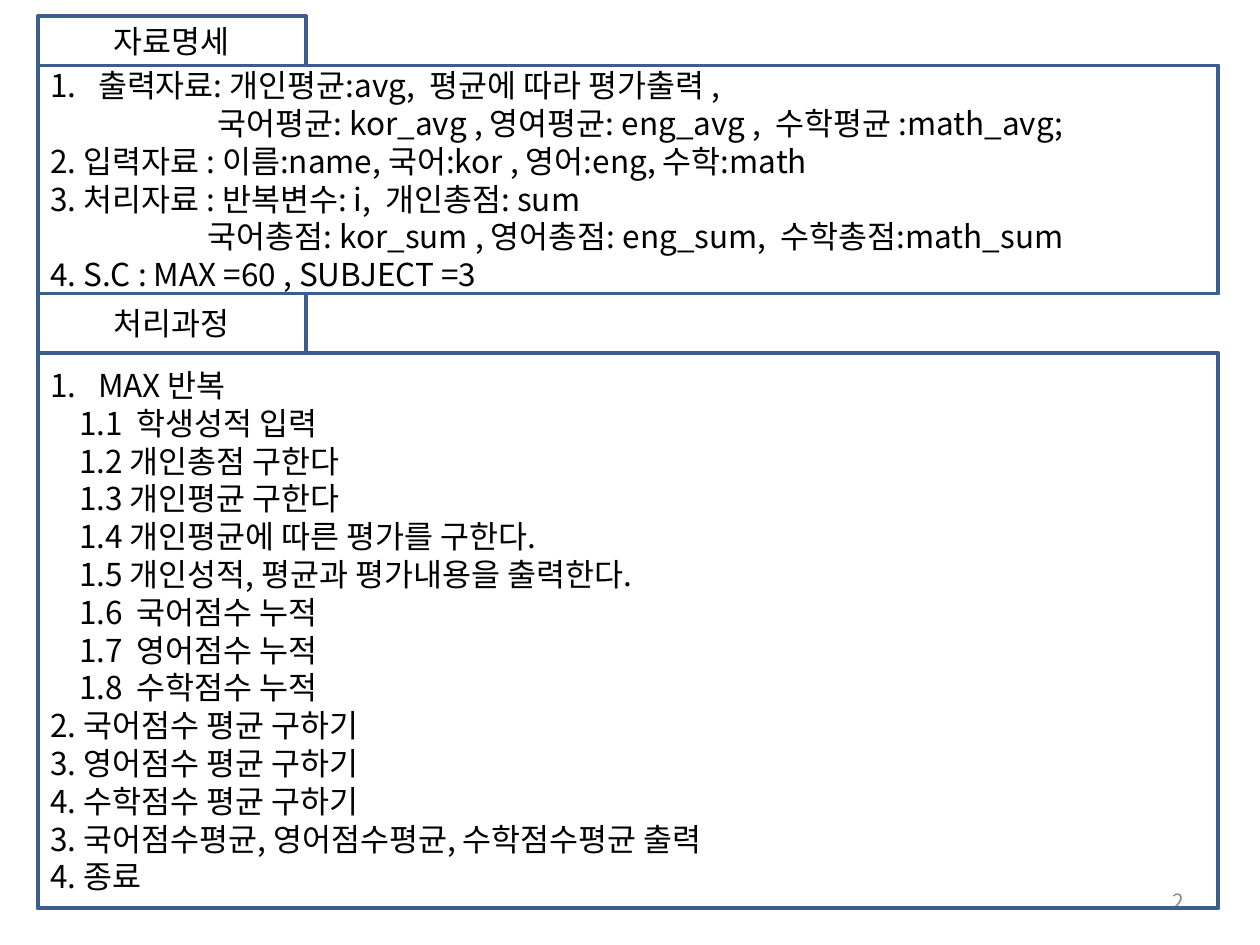
import pptx
import pptx.util
import pptx.dml.color
import pptx.enum.shapes
import pptx.enum.text
import pptx.oxml.ns
import lxml.etree

Inches, Pt = pptx.util.Inches, pptx.util.Pt
ALIGN = pptx.enum.text.PP_ALIGN
FONT = "Noto Sans CJK KR"
LEFT, TAB_WIDTH, BODY_WIDTH = 0.3, 2.13, 9.37
NUMBER_INDENT, STEP_INDENT = 0.38, 0.23


def rgb(color):
    return pptx.dml.color.RGBColor.from_string(color)


def write(shape, lines, size, color, align):
    """Fill a shape with (text, indent) lines."""
    frame = shape.text_frame
    frame.text = "\n".join(text for text, indent in lines)
    frame.word_wrap = True
    frame.vertical_anchor = pptx.enum.text.MSO_ANCHOR.MIDDLE
    for paragraph, (text, indent) in zip(frame.paragraphs, lines):
        paragraph.alignment = align
        paragraph.line_spacing = Pt(size * 1.2)
        properties = paragraph._p.get_or_add_pPr()
        properties.set("marL", str(Inches(indent)))
        if indent == NUMBER_INDENT:
            properties.set("indent", str(-Inches(indent)))
            lxml.etree.SubElement(properties, pptx.oxml.ns.qn("a:buFont"), typeface="+mj-lt")
            lxml.etree.SubElement(properties, pptx.oxml.ns.qn("a:buAutoNum"), type="arabicPeriod")
        for run in paragraph.runs:
            run.font.size = Pt(size)
            run.font.name = FONT
            run.font.color.rgb = rgb(color)
            lxml.etree.SubElement(run._r.rPr, pptx.oxml.ns.qn("a:ea"), typeface=FONT)


deck = pptx.Presentation()
deck.slide_width, deck.slide_height = Inches(10), Inches(7.5)
slide = deck.slides.add_slide(deck.slide_layouts[6])

# Page number, behind the boxes
page_number = slide.shapes.add_textbox(Inches(7.17), Inches(6.95), Inches(2.33), Inches(0.4))
write(page_number, [("2", 0)], 12, "8C8C8C", ALIGN.RIGHT)

# Wording of the two sections
data_lines = [
    ("출력자료: 개인평균:avg,  평균에 따라 평가출력 ,", NUMBER_INDENT),
    ("국어평균: kor_avg , 영여평균: eng_avg ,  수학평균 :math_avg;", 1.33),
    ("2. 입력자료 : 이름:name, 국어:kor , 영어:eng, 수학:math", 0),
    ("3. 처리자료 : 반복변수: i,  개인총점: sum", 0),
    ("국어총점: kor_sum , 영어총점: eng_sum,  수학총점:math_sum", 1.25),
    ("4. S.C : MAX =60 , SUBJECT =3", 0),
]
process_lines = [
    ("MAX 반복", NUMBER_INDENT),
    ("1.1  학생성적 입력", STEP_INDENT),
    ("1.2 개인총점 구한다", STEP_INDENT),
    ("1.3 개인평균 구한다", STEP_INDENT),
    ("1.4 개인평균에 따른 평가를 구한다.", STEP_INDENT),
    ("1.5 개인성적, 평균과 평가내용을 출력한다.", STEP_INDENT),
    ("1.6  국어점수 누적", STEP_INDENT),
    ("1.7  영어점수 누적", STEP_INDENT),
    ("1.8  수학점수 누적", STEP_INDENT),
    ("2. 국어점수 평균 구하기", 0),
    ("3. 영어점수 평균 구하기", 0),
    ("4. 수학점수 평균 구하기", 0),
    ("3. 국어점수평균, 영어점수평균, 수학점수평균 출력", 0),
    ("4. 종료", 0),
]

# Boxes stacked from top to bottom: a title tab, then its body
top = 0.13
for lines, width, height, align in [
    ([("자료명세", 0)], TAB_WIDTH, 0.39, ALIGN.CENTER),
    (data_lines, BODY_WIDTH, 1.81, ALIGN.LEFT),
    ([("처리과정", 0)], TAB_WIDTH, 0.47, ALIGN.CENTER),
    (process_lines, BODY_WIDTH, 4.41, ALIGN.LEFT),
]:
    box = slide.shapes.add_shape(
        pptx.enum.shapes.MSO_SHAPE.RECTANGLE,
        Inches(LEFT), Inches(top), Inches(width), Inches(height))
    box.shadow.inherit = False
    box.fill.background()
    box.line.color.rgb = rgb("3A5F8C")
    box.line.width = Pt(2.25)
    write(box, lines, 18, "000000", align)
    top += height

deck.save("out.pptx")
